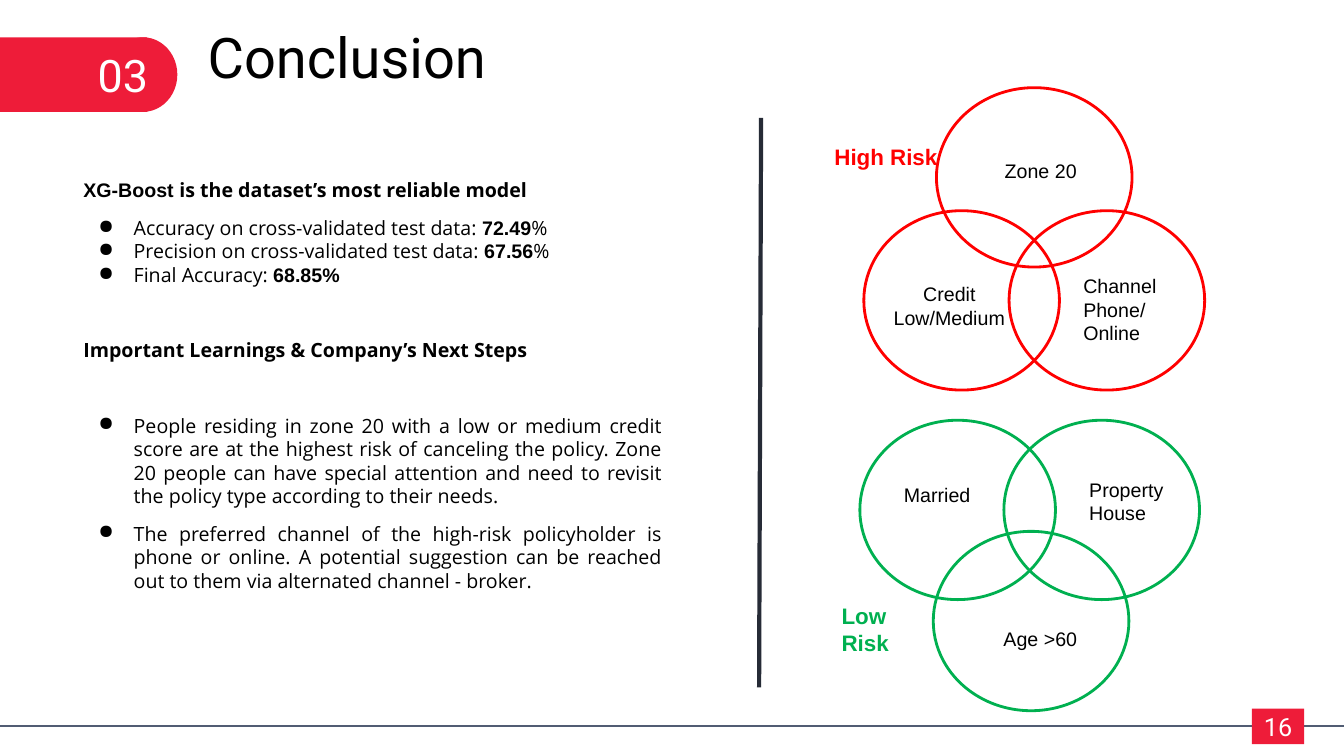
"""Build the conclusion slide with its findings and two risk diagrams."""
from dataclasses import dataclass

from lxml import etree
from pptx import Presentation
from pptx.dml.color import RGBColor
from pptx.enum.shapes import MSO_CONNECTOR, MSO_SHAPE
from pptx.enum.text import MSO_ANCHOR, MSO_AUTO_SIZE, PP_ALIGN
from pptx.oxml.ns import qn
from pptx.util import Cm, Pt

RECT, OVAL = MSO_SHAPE.RECTANGLE, MSO_SHAPE.OVAL
STRAIGHT = MSO_CONNECTOR.STRAIGHT
TOP, MIDDLE = MSO_ANCHOR.TOP, MSO_ANCHOR.MIDDLE
NO_FIT = MSO_AUTO_SIZE.NONE
LEFT, CENTER, JUSTIFY = PP_ALIGN.LEFT, PP_ALIGN.CENTER, PP_ALIGN.JUSTIFY

BLACK = RGBColor(0x00, 0x00, 0x00)
WHITE = RGBColor(0xFF, 0xFF, 0xFF)
CRIMSON = RGBColor(0xEE, 0x1C, 0x39)
SLATE = RGBColor(0x51, 0x5C, 0x73)
NAVY = RGBColor(0x26, 0x2B, 0x36)
RED = RGBColor(0xFF, 0x00, 0x00)
GREEN = RGBColor(0x00, 0xB0, 0x50)

ARIAL, OPEN_SANS, ROBOTO = "Arial", "Open Sans", "Roboto"
CIRCLE_SIZE = (4.93, 4.52)


@dataclass
class Style:
    size: float = 14
    font: str = ARIAL
    color: RGBColor = BLACK
    bold: bool = False
    align: PP_ALIGN = LEFT


@dataclass
class Label:
    box: tuple[float, float, float, float]
    text: str
    style: Style


@dataclass
class Circle:
    left: float
    top: float
    color: RGBColor


@dataclass
class Run:
    text: str
    font: str = OPEN_SANS
    bold: bool = False


@dataclass
class Para:
    runs: list[Run]
    before: float = 10
    bullet: bool = True


PLAIN = Style()
LABELS = [
    Label((2.21, 1.07, 3.18, 1.63), "03", Style(32, ROBOTO, WHITE)),
    Label((25.07, 3.89, 2.64, 0.86), "Zone 20", PLAIN),
    Label((22.2, 6.99, 3.45, 1.45), "Credit Low/Medium", Style(align=CENTER)),
    Label((27.05, 6.78, 2.46, 2.06), "Channel Phone/ Online", PLAIN),
    Label((25.04, 15.67, 2.64, 0.86), "Age >60", PLAIN),
    Label((22.53, 12.04, 2.64, 0.86), "Married", PLAIN),
    Label((27.2, 11.91, 2.64, 1.45), "Property House", PLAIN),
    Label((20.78, 3.48, 3.1, 1.63), "High Risk", Style(16, color=RED, bold=True)),
    Label((20.96, 15.06, 3.1, 1.63), "Low\nRisk", Style(16, color=GREEN, bold=True)),
]

CIRCLES = [
    Circle(23.6, 2.21, RED),
    Circle(21.77, 5.31, RED),
    Circle(25.43, 5.31, RED),
    Circle(23.52, 13.39, GREEN),
    Circle(21.67, 10.59, GREEN),
    Circle(25.3, 10.59, GREEN),
]

FINDINGS = [
    Para([Run("XG-Boost ", ARIAL, True),
          Run("is the dataset’s most reliable model", bold=True)], 0, False),
    Para([Run("Accuracy on cross-validated test data: "),
          Run("72.49", ARIAL, True), Run("%")]),
    Para([Run("Precision on cross-validated test data: "),
          Run("67.56", ARIAL, True), Run("%")], 0),
    Para([Run("Final Accuracy: "), Run("68.85%", ARIAL, True)], 0),
    Para([Run("Important Learnings & Company’s Next Steps", bold=True)], 37, False),
    Para([Run("People residing in zone 20 with a low or medium credit score are at "
              "the highest risk of canceling the policy. Zone 20 people can have "
              "special attention and need to revisit the policy type according to "
              "their needs.")], 37),
    Para([Run("The preferred channel of the high-risk policyholder is phone or "
              "online. A potential suggestion can be reached out to them via "
              "alternated channel - broker.")]),
]


def write(tf, text: str, style: Style) -> None:
    """Fill a text frame with uniformly styled paragraphs."""
    tf.word_wrap = True
    tf.text = text
    for p in tf.paragraphs:
        p.alignment = style.align
        p.font.size = Pt(style.size)
        p.font.name = style.font
        p.font.bold = style.bold
        p.font.color.rgb = style.color


def add_solid(s, kind: MSO_SHAPE, *box: float):
    """Add a crimson shape without an outline."""
    sp = s.shapes.add_shape(kind, *map(Cm, box))
    sp.shadow.inherit = False
    sp.fill.solid()
    sp.fill.fore_color.rgb = CRIMSON
    sp.line.fill.background()
    return sp


def add_circle(s, circle: Circle) -> None:
    """Add one outlined circle of a risk diagram."""
    sp = s.shapes.add_shape(OVAL, *map(Cm, (circle.left, circle.top, *CIRCLE_SIZE)))
    sp.shadow.inherit = False
    sp.fill.background()
    sp.line.color.rgb = circle.color
    sp.line.width = Pt(2)


def add_label(s, label: Label) -> None:
    """Add a text box."""
    write(s.shapes.add_textbox(*map(Cm, label.box)).text_frame, label.text, label.style)


def add_line(s, color: RGBColor, width: float, *ends: float) -> None:
    """Add a straight line without a shadow."""
    line = s.shapes.add_connector(STRAIGHT, *map(Cm, ends))
    line.line.color.rgb = color
    line.line.width = Pt(width)
    etree.SubElement(line._element.spPr, qn("a:effectLst"))


def add_bullet(p) -> None:
    """Give a paragraph a hanging round bullet."""
    pPr = p._p.get_or_add_pPr()
    pPr.set("marL", str(Cm(1.27)))
    pPr.set("indent", str(Cm(-0.89)))
    bullet = etree.Element(qn("a:buChar"), char="●")
    pPr.insert_element_before(bullet, "a:tabLst", "a:defRPr", "a:extLst")


def add_findings(s) -> None:
    """Add the text column with the findings."""
    tf = s.shapes.add_textbox(*map(Cm, (1.85, 4.24, 15.09, 13.28))).text_frame
    tf.word_wrap = True
    tf.margin_top = tf.margin_bottom = Cm(0.25)
    for i, para in enumerate(FINDINGS):
        p = tf.add_paragraph() if i else tf.paragraphs[0]
        p.alignment = JUSTIFY
        p.space_before = Pt(para.before)
        p.font.size = Pt(14)
        p.font.color.rgb = BLACK
        if para.bullet:
            add_bullet(p)
        for run in para.runs:
            r = p.add_run()
            r.text = run.text
            r.font.name = run.font
            r.font.bold = run.bold


def main() -> None:
    """Build and save the slide."""
    prs = Presentation()
    prs.slide_width, prs.slide_height = Cm(33.87), Cm(19.05)
    s = prs.slides.add_slide(prs.slide_layouts[5])

    title = s.shapes.title
    title.left, title.top, title.width, title.height = map(Cm, (4.98, 0.43, 25.4, 1.96))
    write(title.text_frame, "Conclusion", Style(40, ROBOTO))
    title.text_frame.vertical_anchor = TOP
    title.text_frame.auto_size = NO_FIT

    add_line(s, SLATE, 1.5, -0.05, 18.29, 33.87, 18.29)
    add_solid(s, RECT, -0.05, 0.94, 3.76, 1.88)
    add_solid(s, OVAL, 2.74, 0.94, 1.73, 1.88)
    page = add_solid(s, RECT, 31.55, 17.86, 1.32, 0.89)
    write(page.text_frame, "16", Style(18, ROBOTO, WHITE, align=CENTER))
    page.text_frame.vertical_anchor = MIDDLE

    add_line(s, NAVY, 3, 19.13, 17.32, 19.18, 2.97)
    add_findings(s)
    for circle in CIRCLES:
        add_circle(s, circle)
    for label in LABELS:
        add_label(s, label)
    prs.save("out.pptx")


if __name__ == "__main__":
    main()
